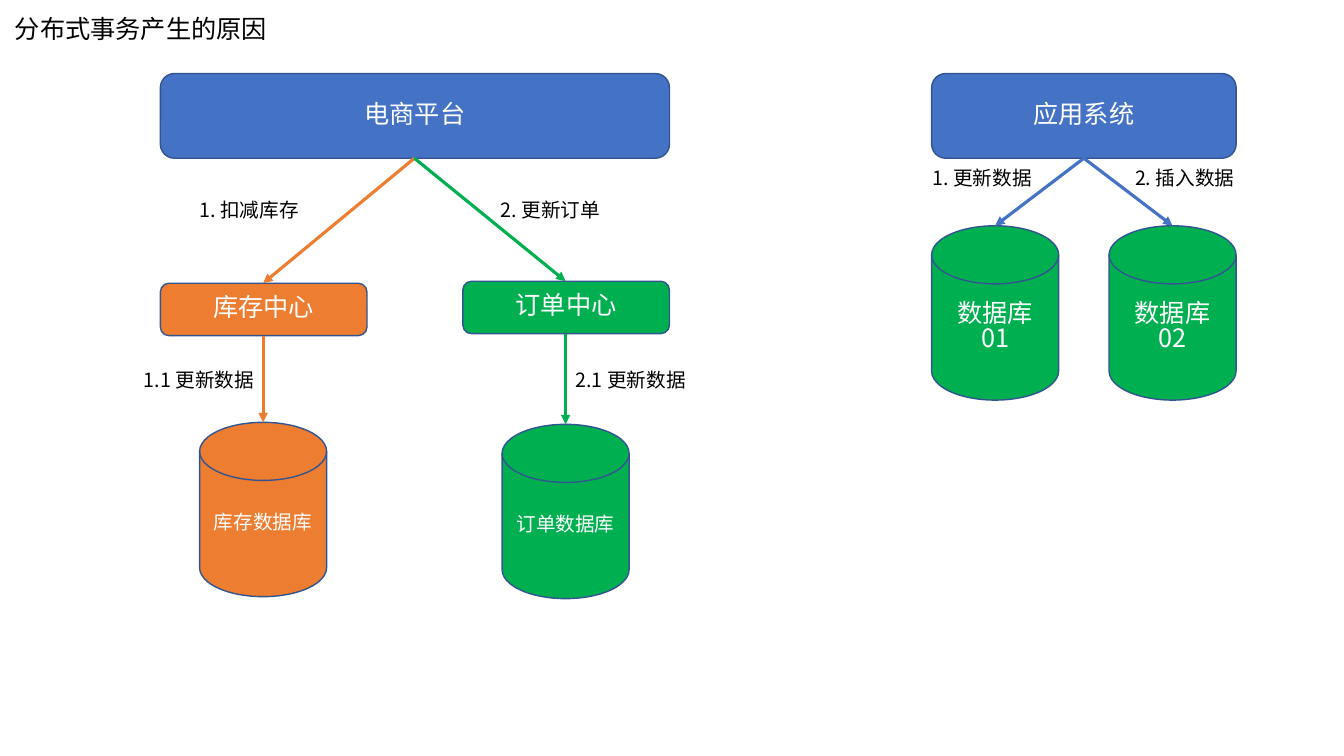
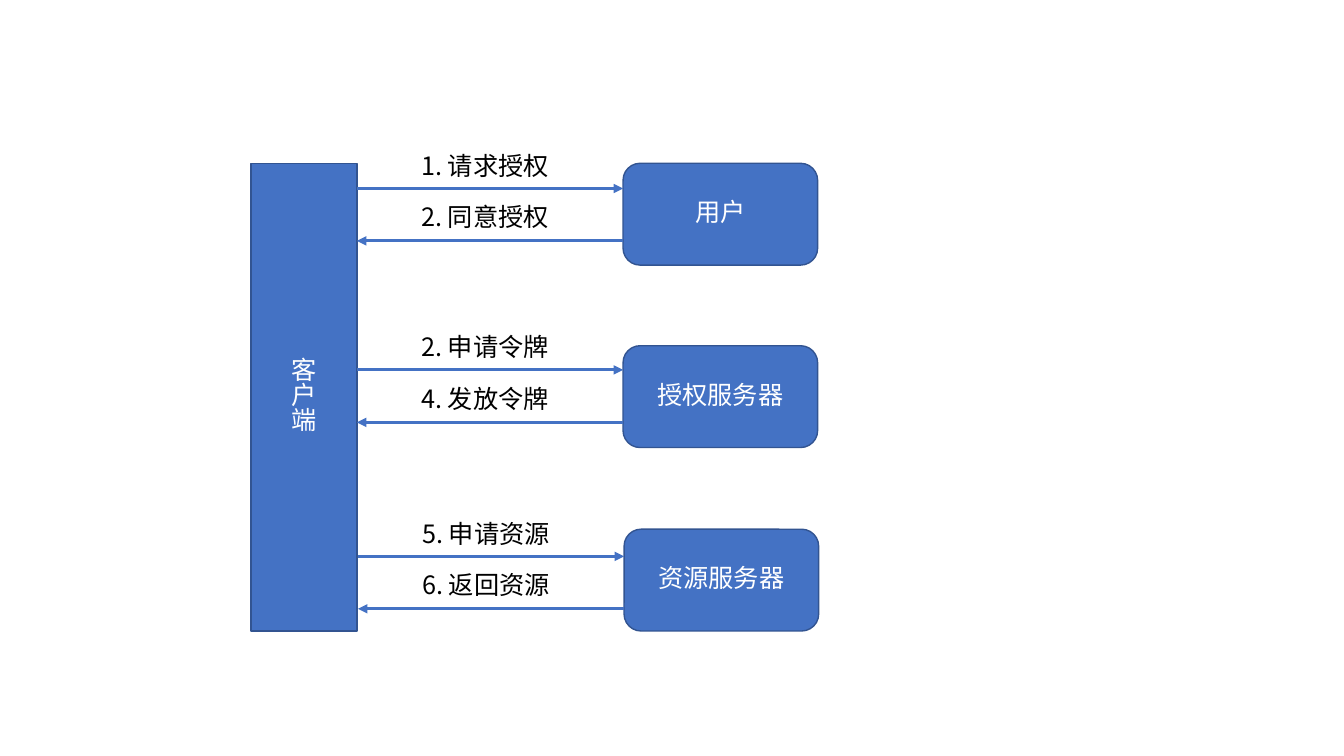
from dataclasses import dataclass

from lxml import etree
from pptx import Presentation
from pptx import util as u
from pptx.dml.color import RGBColor
from pptx.enum import shapes, text
from pptx.oxml import ns

PX = 9144
FONT = "Noto Sans CJK SC"
COLORS = {
    "blue": "4472C4",
    "orange": "ED7D31",
    "green": "00B050",
    "outline": "325491",
    "white": "FFFFFF",
    "black": "000000",
}
RECT = shapes.MSO_SHAPE.RECTANGLE
ROUND = shapes.MSO_SHAPE.ROUNDED_RECTANGLE
DISK = shapes.MSO_SHAPE.FLOWCHART_MAGNETIC_DISK
Point = tuple[int, int]


@dataclass(frozen=True)
class Node:
    words: str
    left: int
    top: int
    width: int
    height: int
    color: str = "blue"
    size: int = 18
    kind: shapes.MSO_SHAPE = ROUND

    @property
    def head(self) -> Point:
        return self.left + self.width // 2, self.top

    @property
    def foot(self) -> Point:
        return self.left + self.width // 2, self.top + self.height


@dataclass(frozen=True)
class Arrow:
    start: Point
    end: Point
    color: str = "blue"


@dataclass(frozen=True)
class Label:
    words: str
    left: int
    top: int
    width: int = 157
    height: int = 34
    size: int = 14


@dataclass(frozen=True)
class Exchange:
    server: str
    box_top: int
    arrow_top: int
    request: str
    reply: str
    shift: int = 0


def rgb(name: str) -> RGBColor:
    return RGBColor.from_string(COLORS[name])


def px(*lengths: int) -> list[u.Emu]:
    return [u.Emu(n * PX) for n in lengths]


def write(tf, words: str, size: int, color: str, align) -> None:
    tf.word_wrap = True
    tf.text = words
    for p in tf.paragraphs:
        p.alignment = align
        p.line_spacing = 0.83
        p.font.size = u.Pt(size)
        p.font.color.rgb = rgb(color)
        p.font.name = FONT
        props = p._p.get_or_add_pPr().find(ns.qn("a:defRPr"))
        etree.SubElement(props, ns.qn("a:ea"), typeface=FONT)


def add_node(tree, node: Node) -> None:
    sp = tree.add_shape(node.kind, *px(node.left, node.top, node.width, node.height))
    sp.shadow.inherit = False
    sp.fill.solid()
    sp.fill.fore_color.rgb = rgb(node.color)
    sp.line.color.rgb = rgb("outline")
    sp.line.width = u.Pt(1)
    tf = sp.text_frame
    tf.vertical_anchor = text.MSO_ANCHOR.MIDDLE
    if node.kind == DISK:
        tf.margin_left, tf.margin_right = px(12, 12)
    write(tf, node.words, node.size, "white", text.PP_ALIGN.CENTER)


def add_arrow(tree, arrow: Arrow) -> None:
    cx = tree.add_connector(
        shapes.MSO_CONNECTOR.STRAIGHT, *px(*arrow.start, *arrow.end)
    )
    cx.line.color.rgb = rgb(arrow.color)
    cx.line.width = u.Pt(2.25)
    props = cx.element.spPr
    etree.SubElement(props.find(ns.qn("a:ln")), ns.qn("a:tailEnd"), type="triangle")
    etree.SubElement(props, ns.qn("a:effectLst"))


def add_label(tree, label: Label) -> None:
    sp = tree.add_textbox(*px(label.left, label.top, label.width, label.height))
    write(sp.text_frame, label.words, label.size, "black", text.PP_ALIGN.LEFT)
    sp.text_frame.auto_size = text.MSO_AUTO_SIZE.SHAPE_TO_FIT_TEXT


def draw(tree, nodes: list[Node], arrows: list[Arrow], labels: list[Label]) -> None:
    for node in nodes:
        add_node(tree, node)
    for arrow in arrows:
        add_arrow(tree, arrow)
    for label in labels:
        add_label(tree, label)


def disk(words: str, left: int, top: int, color: str, size: int) -> Node:
    return Node(words, left, top, 126, 173, color, size, DISK)


def build_causes(s) -> None:
    platform = Node("电商平台", 159, 73, 505, 84)
    stock = Node("库存中心", 159, 281, 205, 52, "orange")
    orders = Node("订单中心", 459, 279, 205, 52, "green")
    stock_db = disk("库存数据库", 198, 419, "orange", 14)
    orders_db = disk("订单数据库", 498, 421, "green", 14)
    draw(
        s.shapes.add_group_shape().shapes,
        [platform, stock, orders, stock_db, orders_db],
        [
            Arrow(a.foot, b.head, b.color)
            for a, b in (
                (platform, stock),
                (platform, orders),
                (stock, stock_db),
                (orders, orders_db),
            )
        ],
        [
            Label("1. 扣减库存", 188, 195),
            Label("2. 更新订单", 487, 195),
            Label("1.1 更新数据", 133, 364),
            Label("2.1 更新数据", 561, 364),
        ],
    )

    system = Node("应用系统", 924, 73, 302, 84)
    databases = [
        disk(f"数据库{i + 1:02}", 924 + 176 * i, 224, "green", 18) for i in range(2)
    ]
    draw(
        s.shapes.add_group_shape().shapes,
        [system, *databases],
        [Arrow(system.foot, db.head) for db in databases],
        [Label("1. 更新数据", 915, 164), Label("2. 插入数据", 1116, 164)],
    )
    add_label(s.shapes, Label("分布式事务产生的原因", 5, 13, 366, 40, 18))


def build_authorization(s) -> None:
    add_node(s.shapes, Node("客\n户\n端", 249, 162, 105, 464, kind=RECT))
    for ex in (
        Exchange("用户", 162, 187, "1. 请求授权", "2. 同意授权"),
        Exchange("授权服务器", 343, 367, "2. 申请令牌", "4. 发放令牌"),
        Exchange("资源服务器", 525, 552, "5. 申请资源", "6. 返回资源", 1),
    ):
        near, far = 354 + ex.shift, 618 + ex.shift
        back = ex.arrow_top + 52
        draw(
            s.shapes,
            [Node(ex.server, far, ex.box_top, 193, 101)],
            [
                Arrow((near, ex.arrow_top), (far, ex.arrow_top)),
                Arrow((far, back), (near, back)),
            ],
            [
                Label(words, 408 + ex.shift, ex.arrow_top + dy, 153, 40, 18)
                for words, dy in ((ex.request, -38), (ex.reply, 13))
            ],
        )


def main() -> None:
    prs = Presentation()
    prs.slide_width, prs.slide_height = px(1333, 750)
    for build in (build_causes, build_authorization):
        build(prs.slides.add_slide(prs.slide_layouts[6]))
    prs.save("out.pptx")


if __name__ == "__main__":
    main()
